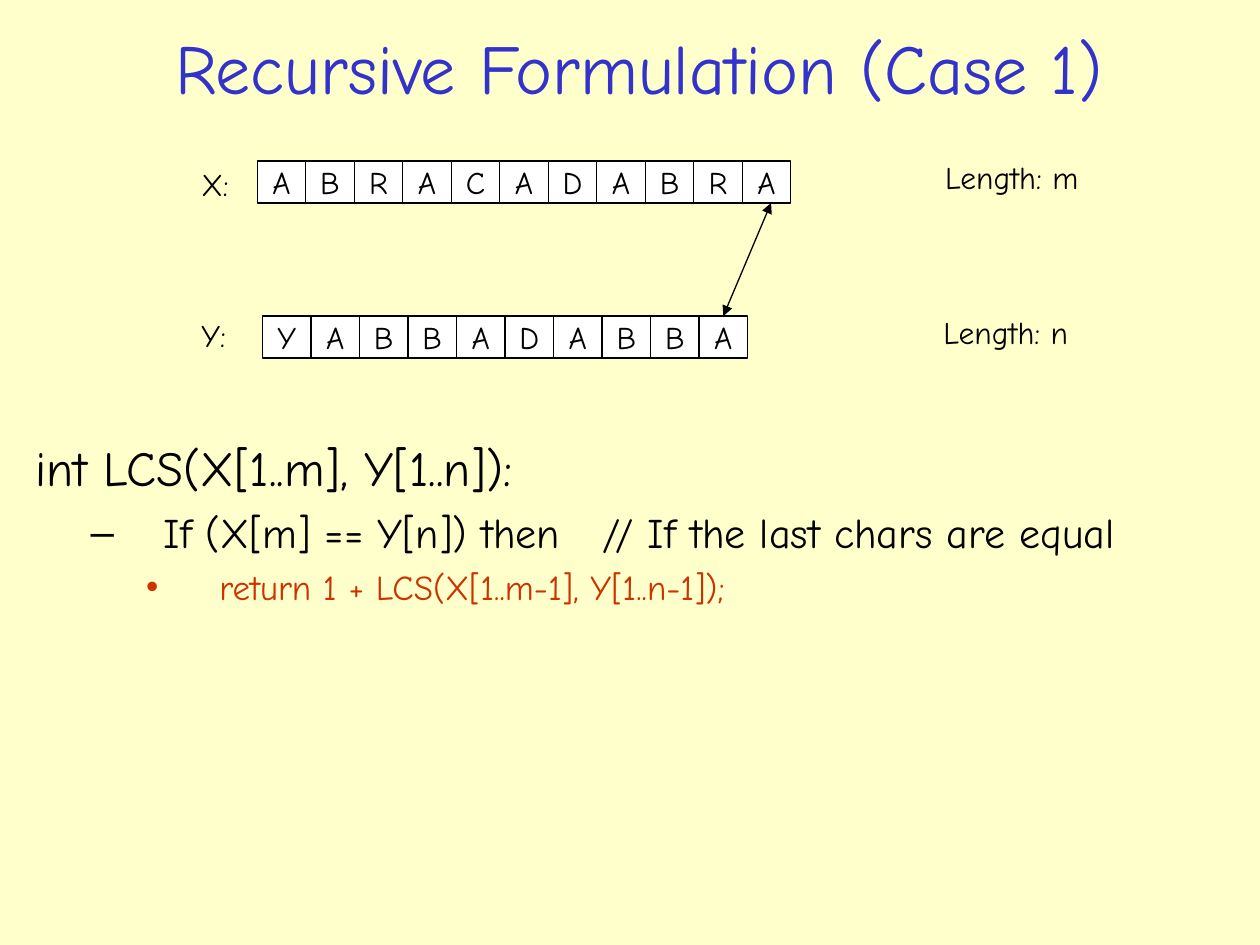
from dataclasses import dataclass

from lxml.etree import SubElement
from pptx import Presentation
from pptx.dml.color import RGBColor
from pptx.enum.shapes import MSO_CONNECTOR, MSO_SHAPE
from pptx.enum.text import MSO_ANCHOR, MSO_AUTO_SIZE, PP_ALIGN
from pptx.oxml.ns import qn
from pptx.util import Pt


@dataclass(frozen=True)
class Theme:
    face: str = "Comic Neue"
    back: RGBColor = RGBColor(0xFF, 0xFF, 0xCC)
    head: RGBColor = RGBColor(0x33, 0x33, 0xCC)
    ink: RGBColor = RGBColor(0, 0, 0)
    mark: RGBColor = RGBColor(0xCC, 0x33, 0)
    cell: RGBColor = RGBColor(0xFF, 0xFF, 0xFF)
    title: int = 40
    label: int = 18
    code: tuple = (28, 24, 20)
    rule: float = 0.75


theme = Theme()


def write(para, text, size=theme.label, color=theme.ink, align=PP_ALIGN.LEFT):
    para.alignment = align
    run = para.add_run()
    run.text = text
    run.font.name = theme.face
    run.font.size = Pt(size)
    run.font.color.rgb = color


deck = Presentation()
deck.slide_width, deck.slide_height = Pt(720), Pt(540)
slide = deck.slides.add_slide(deck.slide_layouts[1])
slide.background.fill.solid()
slide.background.fill.fore_color.rgb = theme.back
shapes = slide.shapes

# Title
title = shapes.title
title.left, title.top, title.width, title.height = Pt(21.6), Pt(10.8), Pt(687), Pt(54.7)
title.text_frame.auto_size = MSO_AUTO_SIZE.NONE
title.text_frame.vertical_anchor = MSO_ANCHOR.MIDDLE
write(title.text_frame.paragraphs[0], "Recursive Formulation (Case 1)",
      size=theme.title, color=theme.head, align=PP_ALIGN.CENTER)

# The two strings, one cell per letter
step, tall = 27.72, 24
rows = [("ABRACADABRA", 147, 92), ("YABBADABBA", 150, 180.6)]
last = []
for word, left, top in rows:
    for col, char in enumerate(word):
        cell = shapes.add_shape(MSO_SHAPE.RECTANGLE, Pt(left + col * step), Pt(top),
                                Pt(step), Pt(tall))
        cell.shadow.inherit = False
        cell.fill.solid()
        cell.fill.fore_color.rgb = theme.cell
        cell.line.color.rgb = theme.ink
        cell.line.width = Pt(theme.rule)
        cell.text_frame.word_wrap = False
        cell.text_frame.vertical_anchor = MSO_ANCHOR.MIDDLE
        write(cell.text_frame.paragraphs[0], char, align=PP_ALIGN.CENTER)
    last.append(cell)

# Names and lengths of the strings
labels = [("X:", 108, 90.9, 36), ("Y:", 108, 177.3, 36),
          ("Length: m", 533, 86.6, 96), ("Length: n", 532, 175.4, 96)]
for text, left, top, wide in labels:
    box = shapes.add_textbox(Pt(left), Pt(top), Pt(wide), Pt(29))
    box.text_frame.word_wrap = True
    box.text_frame.auto_size = MSO_AUTO_SIZE.NONE
    write(box.text_frame.paragraphs[0], text)

# Double arrow between the matching last letters
arrow = shapes.add_connector(MSO_CONNECTOR.STRAIGHT, Pt(440.6), Pt(116), Pt(413), Pt(180.6))
arrow.end_connect(last[1], 0)
arrow.line.color.rgb = theme.ink
arrow.line.width = Pt(theme.rule)
props = arrow._element.spPr
for tag in ("a:headEnd", "a:tailEnd"):
    SubElement(props.find(qn("a:ln")), qn(tag), type="triangle")
SubElement(props, qn("a:effectLst"))

# Recursive code
body = slide.placeholders[1]
body.left, body.top, body.width, body.height = Pt(13), Pt(246.2), Pt(698.4), Pt(257.8)
frame = body.text_frame
frame.auto_size = MSO_AUTO_SIZE.NONE
frame.vertical_anchor = MSO_ANCHOR.TOP
lines = [("int LCS(X[1..m], Y[1..n]):", 0, 0, 0, theme.ink),
         ("If (X[m] == Y[n]) then\t// If the last chars are equal", 73.4, -41.8, 6, theme.ink),
         ("return 1 + LCS(X[1..m-1], Y[1..n-1]);", 105.1, -41.8, 5, theme.mark)]
for level, (text, margin, indent, space, color) in enumerate(lines):
    para = frame.add_paragraph() if level else frame.paragraphs[0]
    para.level = level
    para.space_before = Pt(space)
    props = para._p.get_or_add_pPr()
    props.set("marL", str(Pt(margin)))
    props.set("indent", str(Pt(indent)))
    if level == 0:
        SubElement(props, qn("a:buNone"))
    if "\t" in text:
        # Comment column, measured from the indent and from the box edge
        stops = SubElement(props, qn("a:tabLst"))
        for place in (324 - margin, 324):
            SubElement(stops, qn("a:tab"), pos=str(Pt(place)), algn="l")
    write(para, text, size=theme.code[level], color=color)

deck.save("out.pptx")
